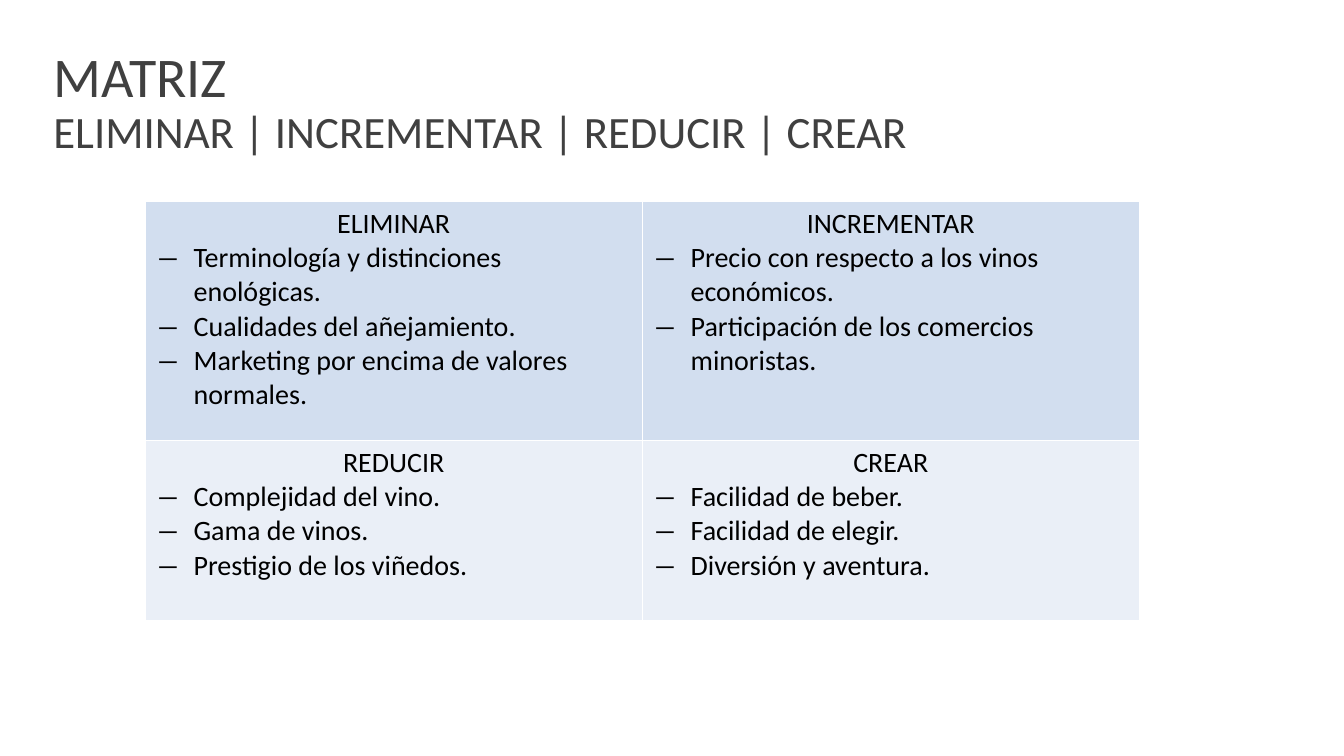
"""Build the eliminate, increase, reduce, create matrix slide."""
import lxml.etree
import pptx
import pptx.dml.color
import pptx.enum.text
import pptx.oxml.ns
import pptx.util
from pptx.util import Inches

TITLE_LINES = ["MATRIZ", "ELIMINAR | INCREMENTAR | REDUCIR | CREAR"]
MATRIX = [
    [
        ("ELIMINAR", [
            "Terminología y distinciones enológicas.",
            "Cualidades del añejamiento.",
            "Marketing por encima de valores normales.",
        ]),
        ("INCREMENTAR", [
            "Precio con respecto a los vinos económicos.",
            "Participación de los comercios minoristas.",
        ]),
    ],
    [
        ("REDUCIR", ["Complejidad del vino.", "Gama de vinos.", "Prestigio de los viñedos."]),
        ("CREAR", ["Facilidad de beber.", "Facilidad de elegir.", "Diversión y aventura."]),
    ],
]
THEME = {
    "font": "Calibri",
    "title_color": "404040",
    "title_sizes": [40, 32],
    "body_color": "000000",
    "body_size": 20,
    "row_fills": ["D2DEEF", "EAEFF7"],
    "border": "FFFFFF",
    "border_width": 1,
    "bullet": "―",
    "indent": 0.38,
}
TITLE_BOX = (0.43, 0.3, 12.61, 1.45)
TABLE_ORIGIN = (1.44, 2)
COLUMN_WIDTH = 4.93
ROW_HEIGHTS = [2.37, 1.79]


def rgb(color):
    return pptx.dml.color.RGBColor.from_string(color)


def format_run(run, size, color):
    run.font.name = THEME["font"]
    run.font.size = pptx.util.Pt(size)
    run.font.color.rgb = rgb(color)


def add_xml(parent, tag, **attributes):
    return lxml.etree.SubElement(parent, pptx.oxml.ns.qn(tag), attributes)


def add_bullet(paragraph):
    properties = paragraph._p.get_or_add_pPr()
    indent = Inches(THEME["indent"])
    properties.set("marL", str(indent))
    properties.set("indent", str(-indent))
    add_xml(properties, "a:buFont", typeface=THEME["font"])
    add_xml(properties, "a:buChar", char=THEME["bullet"])


def add_borders(cell):
    properties = cell._tc.get_or_add_tcPr()
    width = str(pptx.util.Pt(THEME["border_width"]))
    for side in ("a:lnL", "a:lnR", "a:lnT", "a:lnB"):
        line = add_xml(properties, side, w=width)
        add_xml(add_xml(line, "a:solidFill"), "a:srgbClr", val=THEME["border"])


def fill_cell(cell, heading, items, color):
    add_borders(cell)
    cell.fill.solid()
    cell.fill.fore_color.rgb = rgb(color)
    cell.text_frame.text = "\n".join([heading, *items])
    for index, paragraph in enumerate(cell.text_frame.paragraphs):
        if index == 0:
            paragraph.alignment = pptx.enum.text.PP_ALIGN.CENTER
        else:
            add_bullet(paragraph)
        format_run(paragraph.runs[0], THEME["body_size"], THEME["body_color"])


def add_title(slide):
    text_frame = slide.shapes.add_textbox(*map(Inches, TITLE_BOX)).text_frame
    text_frame.word_wrap = True
    text_frame.vertical_anchor = pptx.enum.text.MSO_ANCHOR.MIDDLE
    paragraph = text_frame.paragraphs[0]
    paragraph.text = "\v".join(TITLE_LINES)
    paragraph.line_spacing = 0.9
    for run, size in zip(paragraph.runs, THEME["title_sizes"]):
        format_run(run, size, THEME["title_color"])


def add_matrix(slide):
    column_count = len(MATRIX[0])
    size = (COLUMN_WIDTH * column_count, sum(ROW_HEIGHTS))
    table = slide.shapes.add_table(
        len(MATRIX), column_count, *map(Inches, TABLE_ORIGIN + size)
    ).table
    table.first_row = False
    table.horz_banding = False
    for column in table.columns:
        column.width = Inches(COLUMN_WIDTH)
    for row_index, quadrants in enumerate(MATRIX):
        table.rows[row_index].height = Inches(ROW_HEIGHTS[row_index])
        for column_index, (heading, items) in enumerate(quadrants):
            cell = table.cell(row_index, column_index)
            fill_cell(cell, heading, items, THEME["row_fills"][row_index])


def main():
    presentation = pptx.Presentation()
    presentation.slide_width = Inches(13.33)
    presentation.slide_height = Inches(7.5)
    slide = presentation.slides.add_slide(presentation.slide_layouts[6])
    add_title(slide)
    add_matrix(slide)
    presentation.save("out.pptx")


if __name__ == "__main__":
    main()
